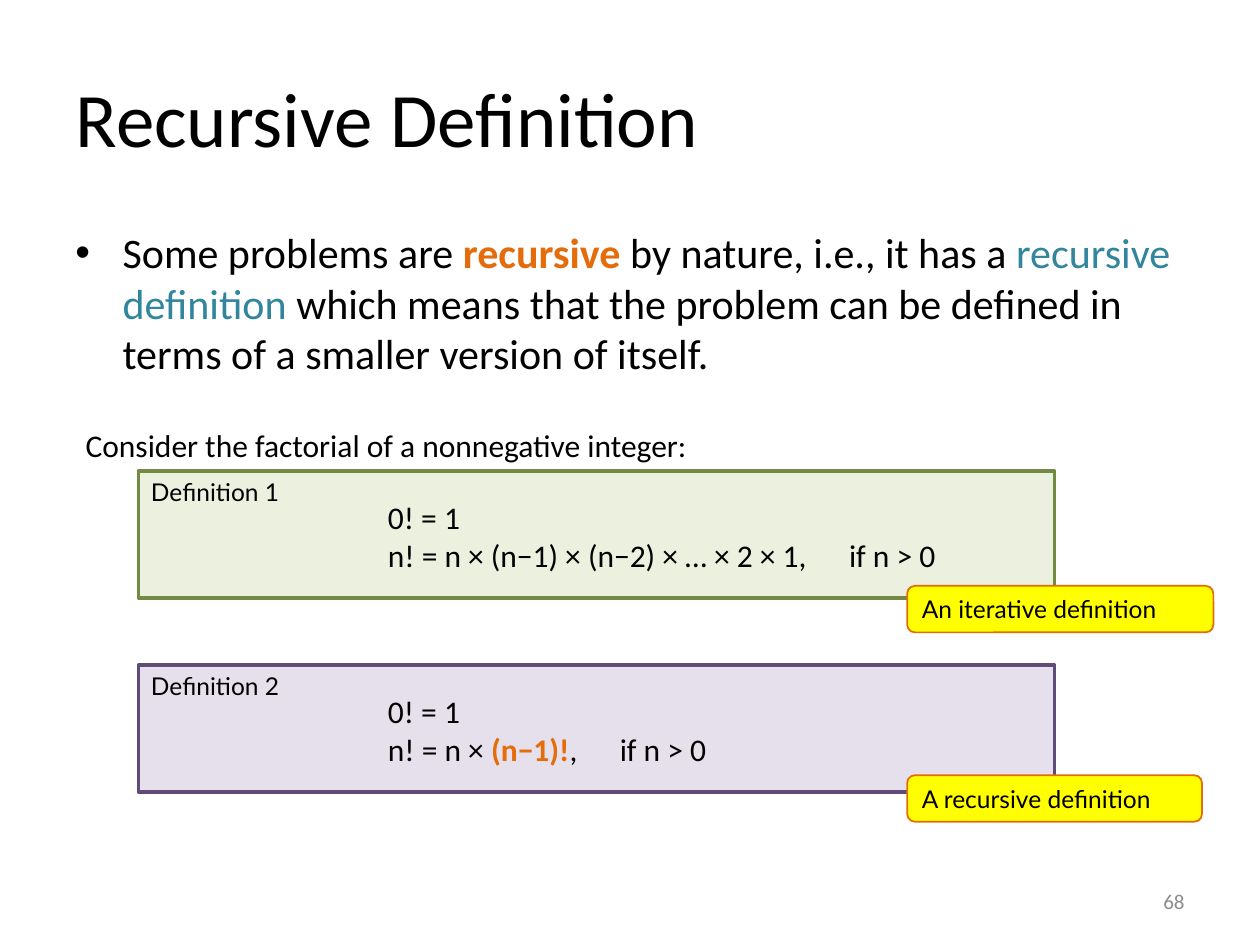
from lxml.etree import SubElement as Sub
from pptx import Presentation
from pptx.dml.color import RGBColor
from pptx.enum.shapes import MSO_SHAPE as Kind
from pptx.enum.text import MSO_ANCHOR as Anchor, PP_ALIGN as Align
from pptx.oxml.ns import qn
from pptx.util import Pt

BLACK, ORANGE, TEAL, GRAY, YELLOW = "000000", "E46C0A", "31859C", "8C8C8C", "FFFF00"


def rgb(code):
    return RGBColor.from_string(code)


def write(frame, lines, size, font="Calibri", anchor=Anchor.TOP, align=Align.LEFT):
    """Fill a frame; each line is a list of (text, colour, bold) runs."""
    frame.word_wrap = True
    frame.vertical_anchor = anchor
    for i, line in enumerate(lines):
        para = frame.add_paragraph() if i else frame.paragraphs[0]
        para.alignment = align
        for text, code, bold in line:
            run = para.add_run()
            run.text = text
            run.font.name = font
            run.font.size = Pt(size)
            run.font.bold = bold
            run.font.color.rgb = rgb(code)


def plain(text, code=BLACK):
    return [(text, code, False)]


def add_text(slide, box, lines, size, **style):
    frame = slide.shapes.add_textbox(*map(Pt, box)).text_frame
    write(frame, lines, size, **style)
    return frame


def add_box(slide, kind, box, fill, edge, width, text, anchor):
    shape = slide.shapes.add_shape(kind, *map(Pt, box))
    shape.shadow.inherit = False
    shape.fill.solid()
    shape.fill.fore_color.rgb = rgb(fill)
    shape.line.color.rgb = rgb(edge)
    shape.line.width = Pt(width)
    write(shape.text_frame, [plain(text)], 14, font="Lato", anchor=anchor)


def add_bullet(para, indent):
    props = para._p.get_or_add_pPr()
    props.set("marL", str(Pt(indent)))
    props.set("indent", str(-Pt(indent)))
    Sub(props, qn("a:buFont"), typeface="Arial")
    Sub(props, qn("a:buChar"), char="•")


def add_tab(para, pos):
    tabs = Sub(para._p.get_or_add_pPr(), qn("a:tabLst"))
    Sub(tabs, qn("a:tab"), pos=str(Pt(pos)), algn="l")


def add_case(slide, top, name, fill, edge, rule, tab):
    """A definition panel with its two formula lines."""
    add_box(slide, Kind.RECTANGLE, (79.2, top, 523.4, 72.7), fill, edge, 2,
            name, Anchor.TOP)
    frame = add_text(slide, (214.6, top + 12, 360, 51), [plain("0! = 1"), rule], 18)
    add_tab(frame.paragraphs[1], tab)


def add_tag(slide, top, width, text):
    add_box(slide, Kind.ROUNDED_RECTANGLE, (518.4, top, width, 26.6),
            YELLOW, ORANGE, 1, text, Anchor.MIDDLE)


def main():
    deck = Presentation()
    deck.slide_width, deck.slide_height = Pt(720), Pt(540)
    slide = deck.slides.add_slide(deck.slide_layouts[5])

    # Title
    title = slide.shapes.title
    title.left, title.top, title.width, title.height = map(Pt, (36, 21.6, 648, 90))
    write(title.text_frame, [plain("Recursive Definition")], 44, anchor=Anchor.MIDDLE)

    # Main point
    point = [
        ("Some problems are ", BLACK, False),
        ("recursive", ORANGE, True),
        (" by nature, i.e., it has a ", BLACK, False),
        ("recursive definition", TEAL, False),
        (" which means that the problem can be defined in terms of "
         "a smaller version of itself.", BLACK, False),
    ]
    para = add_text(slide, (36, 126, 648, 356.4), [point], 24).paragraphs[0]
    para.space_before = Pt(4.8)
    add_bullet(para, 27)
    add_text(slide, (41.8, 239.8, 400, 29),
             [plain("Consider the factorial of a nonnegative integer:")], 18)

    # Definitions
    add_case(slide, 269, "Definition 1", "EBF1DE", "738A42",
             plain("n! = n × (n−1) × (n−2) × … × 2 × 1,\tif n > 0"), 263.5)
    add_case(slide, 380, "Definition 2", "E6E0EC", "5F4A78",
             [("n! = n × ", BLACK, False), ("(n−1)!", ORANGE, True),
              (",\tif n > 0", BLACK, False)], 132.5)

    # Tags
    add_tag(slide, 334.8, 175, "An iterative definition")
    add_tag(slide, 443, 168.5, "A recursive definition")

    # Page number
    add_text(slide, (516, 500.5, 168, 28.8), [plain("68", GRAY)], 12,
             anchor=Anchor.MIDDLE, align=Align.RIGHT)
    deck.save("out.pptx")


if __name__ == "__main__":
    main()
